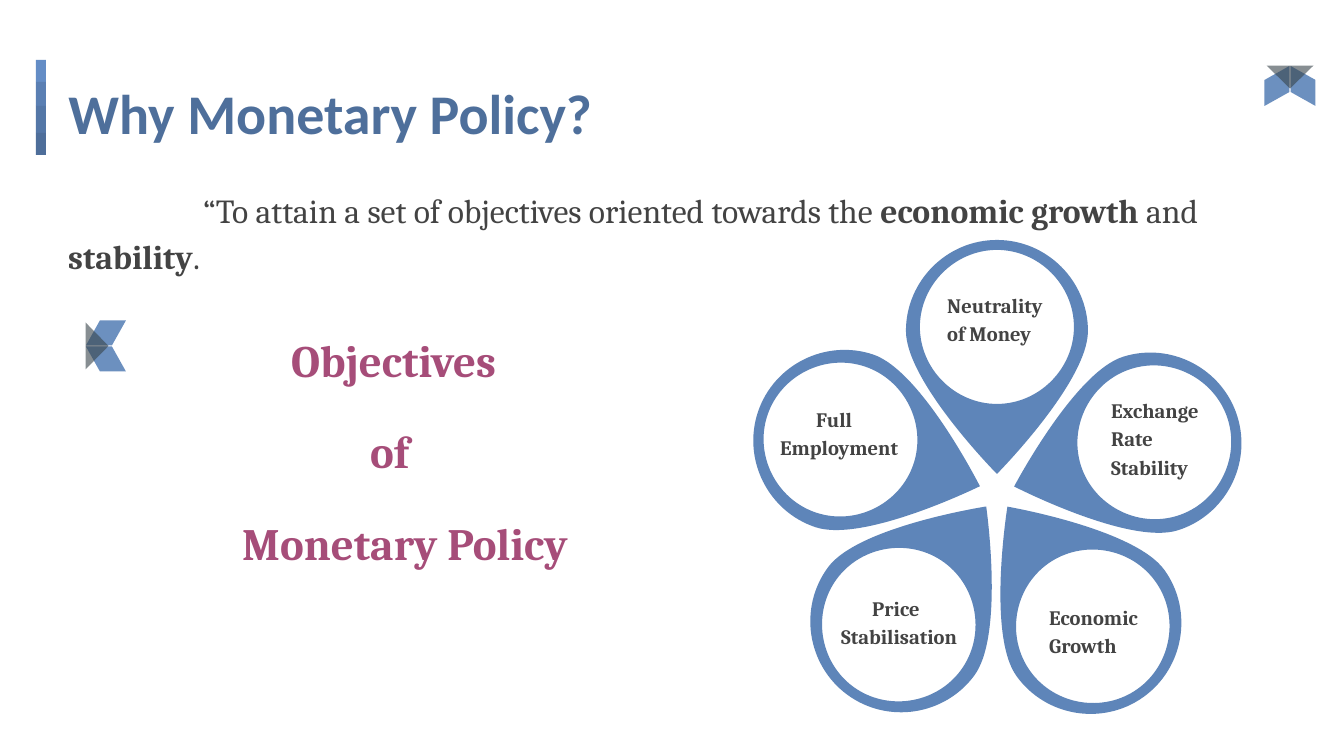
from math import cos, radians, sin

from pptx import Presentation
from pptx.dml.color import RGBColor
from pptx.enum.shapes import MSO_SHAPE
from pptx.enum.text import MSO_ANCHOR, MSO_AUTO_SIZE, PP_ALIGN
from pptx.oxml.ns import qn
from pptx.oxml.xmlchemy import OxmlElement
from pptx.util import Pt

RECTANGLE = MSO_SHAPE.RECTANGLE
PARALLELOGRAM = MSO_SHAPE.PARALLELOGRAM
TRIANGLE = MSO_SHAPE.ISOSCELES_TRIANGLE
LEFT = PP_ALIGN.LEFT
TOP = MSO_ANCHOR.TOP
NO_FIT = MSO_AUTO_SIZE.NONE

PX = 914400 / 134.4
INSET = 91440
TITLE_FONT, BODY_FONT = "Calibri", "Cambria"
COLORS = {
    "title": "4E6F9B", "body": "434343", "objectives": "A64D79",
    "petal": "5E85B9", "fold": "38444A",
}

TITLE = "Why Monetary Policy?"
QUOTE = [
    ("“To attain a set of objectives oriented towards the ", False),
    ("economic growth", True),
    (" and ", False),
    ("stability", True),
    (".", False),
]
OBJECTIVES = [("Objectives", 148), ("of", 227), ("Monetary Policy", 99)]
PETALS = [
    (0, "Neutrality of Money", (934, 276, 128, 85), 0),
    (72.5, "Exchange Rate Stability", (1098, 381, 128, 102), 0),
    (-71.5, "Full Employment", (767, 390, 156, 83), 36),
    (-143.5, "Price Stabilisation", (828, 579, 156, 83), 31),
    (144.5, "Economic Growth", (1036, 588, 128, 83), 0),
]
BAR_SEGMENTS = [("648DC6", 22), ("5A7FB3", 24), ("5477A7", 27), ("4E6E9A", 22)]
MARKERS = [((1290, 86), 90), ((106, 346), 0)]
MARKER_PARTS = [
    (PARALLELOGRAM, (0, -13), (40, 25), 0, False, 0.56, "petal", 91),
    (PARALLELOGRAM, (0, 13), (40, 25), 0, True, 0.56, "petal", 91),
    (TRIANGLE, (-9, 0), (47, 23), 90, False, 0.5, "fold", 60),
]

FLOWER_CENTER = (997, 492)
PETAL_OUTLINE = [
    (0, -252), (-50, -252), (-91, -211), (-91, -161),
    (-91, -110), (0, -18), (0, -18),
    (0, -18), (91, -110), (91, -161),
    (91, -211), (50, -252), (0, -252),
]
HOLE_CENTER_Y, HOLE_RADIUS, HOLE_HANDLE = -165, 77, 42


def emu(*lengths):
    return [round(length * PX) for length in lengths]


def color(value):
    return RGBColor.from_string(value)


def paint(shape, value, opacity=100):
    shape.shadow.inherit = False
    shape.line.fill.background()
    shape.fill.solid()
    shape.fill.fore_color.rgb = color(value)
    if opacity < 100:
        alpha = OxmlElement("a:alpha")
        alpha.set("val", str(opacity * 1000))
        next(shape._element.iter(qn("a:srgbClr"))).append(alpha)


def prepare_frame(frame):
    frame.word_wrap = True
    frame.auto_size = NO_FIT
    frame.vertical_anchor = TOP
    frame.margin_left = frame.margin_right = INSET
    frame.margin_top = frame.margin_bottom = INSET


def format_paragraph(paragraph, size, shade, bold, first_line=0):
    properties = paragraph._p.get_or_add_pPr()
    properties.set("marL", "0")
    properties.set("indent", str(round(first_line * PX)))
    font = paragraph.font
    font.name = BODY_FONT
    font.size = Pt(size)
    font.bold = bold
    font.color.rgb = color(COLORS[shade])
    paragraph.alignment = LEFT
    paragraph.line_spacing = 1.15
    paragraph.space_after = Pt(16)


def add_text_box(slide, box):
    frame = slide.shapes.add_textbox(*emu(*box)).text_frame
    prepare_frame(frame)
    return frame


def turn(point, degrees):
    x, y = point
    angle = radians(degrees)
    return x * cos(angle) - y * sin(angle), x * sin(angle) + y * cos(angle)


def hole_outline():
    quarter = [(HOLE_RADIUS, HOLE_HANDLE), (HOLE_HANDLE, HOLE_RADIUS), (0, HOLE_RADIUS)]
    points = [(HOLE_RADIUS, 0)]
    for degrees in (0, 90, 180, 270):
        points += [turn(point, degrees) for point in quarter]
    return [(x, y + HOLE_CENTER_Y) for x, y in points]


def bend_lines(shape):
    lines = list(shape._element.iter(qn("a:lnTo")))
    for first in range(0, len(lines), 3):
        curve = OxmlElement("a:cubicBezTo")
        lines[first].addprevious(curve)
        for line in lines[first:first + 3]:
            curve.append(line[0])
            line.getparent().remove(line)


def add_petal(slide, degrees):
    outline, hole = [
        [emu(*(c + d for c, d in zip(FLOWER_CENTER, turn(point, degrees))))
         for point in contour]
        for contour in (PETAL_OUTLINE, hole_outline())
    ]
    builder = slide.shapes.build_freeform(*outline[0])
    builder.add_line_segments(outline[1:], close=True)
    builder.move_to(*hole[0])
    builder.add_line_segments(hole[1:], close=True)
    shape = builder.convert_to_shape()
    bend_lines(shape)
    paint(shape, COLORS["petal"])


def add_bar(slide):
    top = 60
    for shade, height in BAR_SEGMENTS:
        paint(slide.shapes.add_shape(RECTANGLE, *emu(36, top, 10, height)), shade)
        top += height


def add_marker(slide, center, degrees):
    for kind, offset, size, rotation, flipped, adjustment, shade, opacity in MARKER_PARTS:
        dx, dy = turn(offset, degrees)
        width, height = size
        left, top = center[0] + dx - width / 2, center[1] + dy - height / 2
        shape = slide.shapes.add_shape(kind, *emu(left, top, width, height))
        shape.adjustments[0] = adjustment
        shape.rotation = rotation + degrees
        if flipped:
            shape._element.spPr.xfrm.set("flipH", "1")
        paint(shape, COLORS[shade], opacity)


def main():
    presentation = Presentation()
    presentation.slide_width, presentation.slide_height = emu(1344, 756)
    slide = presentation.slides.add_slide(presentation.slide_layouts[5])
    add_bar(slide)

    title = slide.shapes.title
    title.left, title.top, title.width, title.height = emu(55, 65, 1243, 85)
    prepare_frame(title.text_frame)
    title.text_frame.text = TITLE
    paragraph = title.text_frame.paragraphs[0]
    paragraph.alignment = LEFT
    paragraph.font.name = TITLE_FONT
    paragraph.font.size = Pt(30)
    paragraph.font.bold = True
    paragraph.font.color.rgb = color(COLORS["title"])

    paragraph = add_text_box(slide, (55, 170, 1243, 83)).paragraphs[0]
    format_paragraph(paragraph, 18, "body", None, 135)
    for text, bold in QUOTE:
        run = paragraph.add_run()
        run.text = text
        run.font.bold = bold

    frame = add_text_box(slide, (130, 311, 462, 297))
    frame.text = "\n".join(text for text, _ in OBJECTIVES)
    for paragraph, (_, first_line) in zip(frame.paragraphs, OBJECTIVES):
        format_paragraph(paragraph, 24, "objectives", True, first_line)

    for center, degrees in MARKERS:
        add_marker(slide, center, degrees)
    for degrees, *_ in PETALS:
        add_petal(slide, degrees)
    for _, label, box, first_line in PETALS:
        frame = add_text_box(slide, box)
        frame.text = label
        format_paragraph(frame.paragraphs[0], 11, "body", True, first_line)

    presentation.save("out.pptx")


if __name__ == "__main__":
    main()
